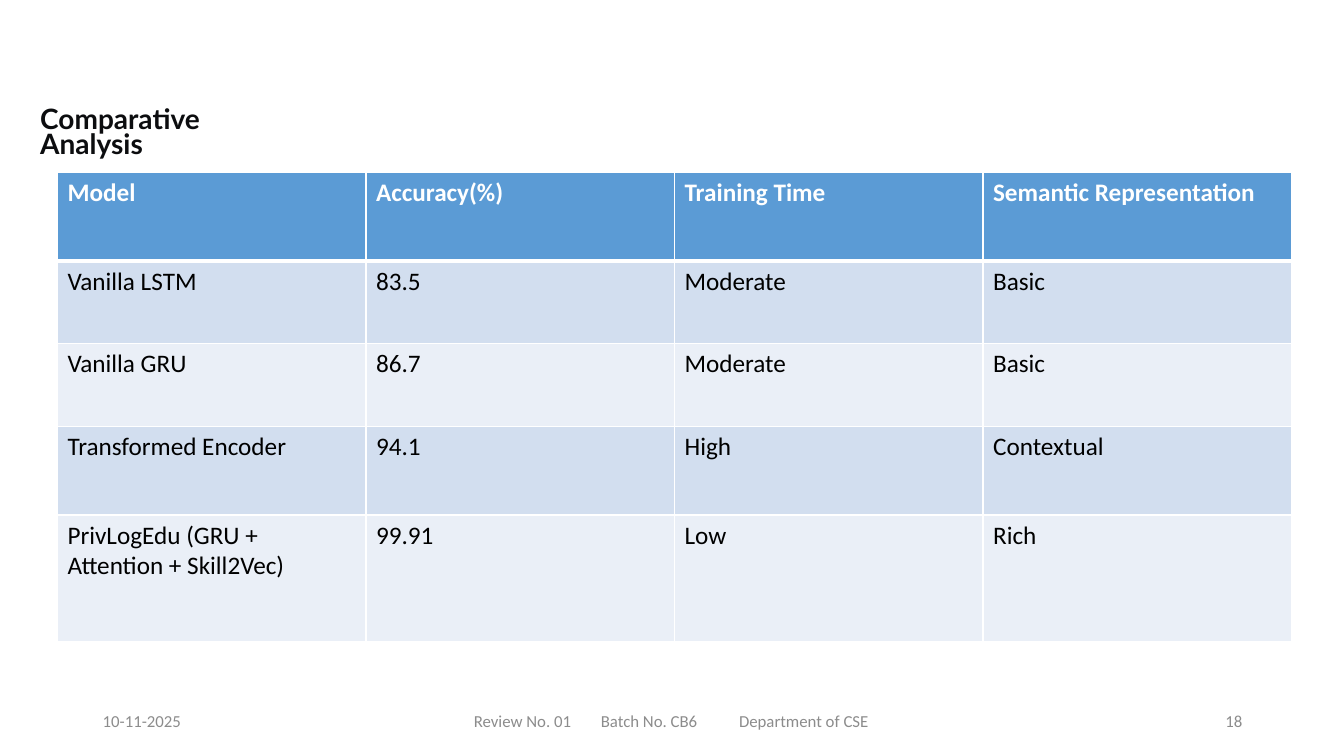
from dataclasses import dataclass

from lxml import etree
from pptx import Presentation
from pptx.dml.color import RGBColor
from pptx.enum.text import MSO_ANCHOR, MSO_AUTO_SIZE, PP_ALIGN
from pptx.oxml.ns import qn
from pptx.util import Inches, Pt

LEFT, RIGHT = PP_ALIGN.LEFT, PP_ALIGN.RIGHT
TOP, MIDDLE = MSO_ANCHOR.TOP, MSO_ANCHOR.MIDDLE
GROW, FIXED = MSO_AUTO_SIZE.SHAPE_TO_FIT_TEXT, MSO_AUTO_SIZE.NONE

COLUMN_WIDTH = 3.06
ROW_HEIGHTS = [0.88, 0.82, 0.82, 0.88, 1.26]
COMPARISON = [
    ["Model", "Accuracy(%)", "Training Time", "Semantic Representation"],
    ["Vanilla LSTM", "83.5", "Moderate", "Basic"],
    ["Vanilla GRU", "86.7", "Moderate", "Basic"],
    ["Transformed Encoder", "94.1", "High", "Contextual"],
    ["PrivLogEdu (GRU + Attention + Skill2Vec)", "99.91", "Low", "Rich"],
]


@dataclass(frozen=True)
class Theme:
    body_font: str = "Calibri"
    title_font: str = "Lato"
    title_color: str = "0C0D0F"
    footer_color: str = "8C8C8C"
    text_color: str = "000000"
    white: str = "FFFFFF"
    header_fill: str = "5B9BD5"
    band_fills: tuple = ("D2DEEF", "EAEFF7")
    title_size: int = 20
    title_spacing: float = 18.5
    table_size: int = 18
    footer_size: int = 12
    rule_width: int = 1
    header_rule_width: int = 3


def write_text(frame, text, *, font, size, color, bold=False, align=LEFT, spacing=None, tabs=()):
    para = frame.paragraphs[0]
    para.alignment = align
    if spacing:
        para.line_spacing = Pt(spacing)
    if tabs:
        tab_list = etree.SubElement(para._p.get_or_add_pPr(), qn("a:tabLst"))
        for stop in tabs:
            etree.SubElement(tab_list, qn("a:tab"), pos=str(Inches(stop)), algn="l")
    span = para.add_run()
    span.text = text
    span.font.name = font
    span.font.size = Pt(size)
    span.font.bold = bold
    span.font.color.rgb = RGBColor.from_string(color)


class SlideBuilder:
    """Adds styled elements to one slide."""

    def __init__(self, page, theme):
        self.page = page
        self.theme = theme

    def text_box(self, text, left, top, width, height, *, anchor=TOP, fit=FIXED, inset=0.1, **style):
        box = self.page.shapes.add_textbox(Inches(left), Inches(top), Inches(width), Inches(height))
        frame = box.text_frame
        frame.word_wrap = True
        frame.auto_size = fit
        frame.vertical_anchor = anchor
        frame.margin_left = Inches(inset)
        write_text(frame, text, **style)

    def title(self, text):
        theme = self.theme
        self.text_box(text, 0.3, 1.03, 2.71, 0.37, fit=GROW, font=theme.title_font, size=theme.title_size,
                      color=theme.title_color, bold=True, spacing=theme.title_spacing)

    def footer(self, text, left, width, **style):
        theme = self.theme
        self.text_box(text, left, 6.95, width, 0.4, anchor=MIDDLE, font=theme.body_font,
                      size=theme.footer_size, color=theme.footer_color, **style)

    def cell_borders(self, cell, row_index):
        theme = self.theme
        properties = cell._tc.get_or_add_tcPr()
        heavy_edge = {0: "lnB", 1: "lnT"}.get(row_index)
        for position, edge in enumerate(("lnL", "lnR", "lnT", "lnB")):
            width = theme.header_rule_width if edge == heavy_edge else theme.rule_width
            line = etree.Element(qn(f"a:{edge}"), w=str(Pt(width)))
            fill = etree.SubElement(line, qn("a:solidFill"))
            etree.SubElement(fill, qn("a:srgbClr"), val=theme.white)
            properties.insert(position, line)

    def table(self, rows, left, top, column_width, row_heights):
        theme = self.theme
        column_count = len(rows[0])
        table = self.page.shapes.add_table(
            len(rows), column_count, Inches(left), Inches(top),
            Inches(column_width * column_count), Inches(sum(row_heights))).table
        for column in table.columns:
            column.width = Inches(column_width)
        for row_index, values in enumerate(rows):
            table.rows[row_index].height = Inches(row_heights[row_index])
            is_header = row_index == 0
            fill_color = theme.header_fill if is_header else theme.band_fills[(row_index - 1) % 2]
            for column_index, value in enumerate(values):
                cell = table.cell(row_index, column_index)
                cell.fill.solid()
                cell.fill.fore_color.rgb = RGBColor.from_string(fill_color)
                self.cell_borders(cell, row_index)
                write_text(cell.text_frame, value, font=theme.body_font, size=theme.table_size,
                           color=theme.white if is_header else theme.text_color, bold=is_header)


def main():
    deck = Presentation()
    deck.slide_width, deck.slide_height = Inches(13.33), Inches(7.5)
    page = deck.slides.add_slide(deck.slide_layouts[6])
    builder = SlideBuilder(page, Theme())
    builder.footer("10-11-2025", 0.92, 3)
    builder.footer("Review No. 01\tBatch No. CB6\tDepartment of CSE", 4.42, 4.5, inset=0.28, tabs=(1.26, 2.63))
    builder.footer("18", 9.42, 3, align=RIGHT)
    builder.title("Comparative Analysis")
    builder.table(COMPARISON, 0.57, 1.71, COLUMN_WIDTH, ROW_HEIGHTS)
    deck.save("out.pptx")


if __name__ == "__main__":
    main()
